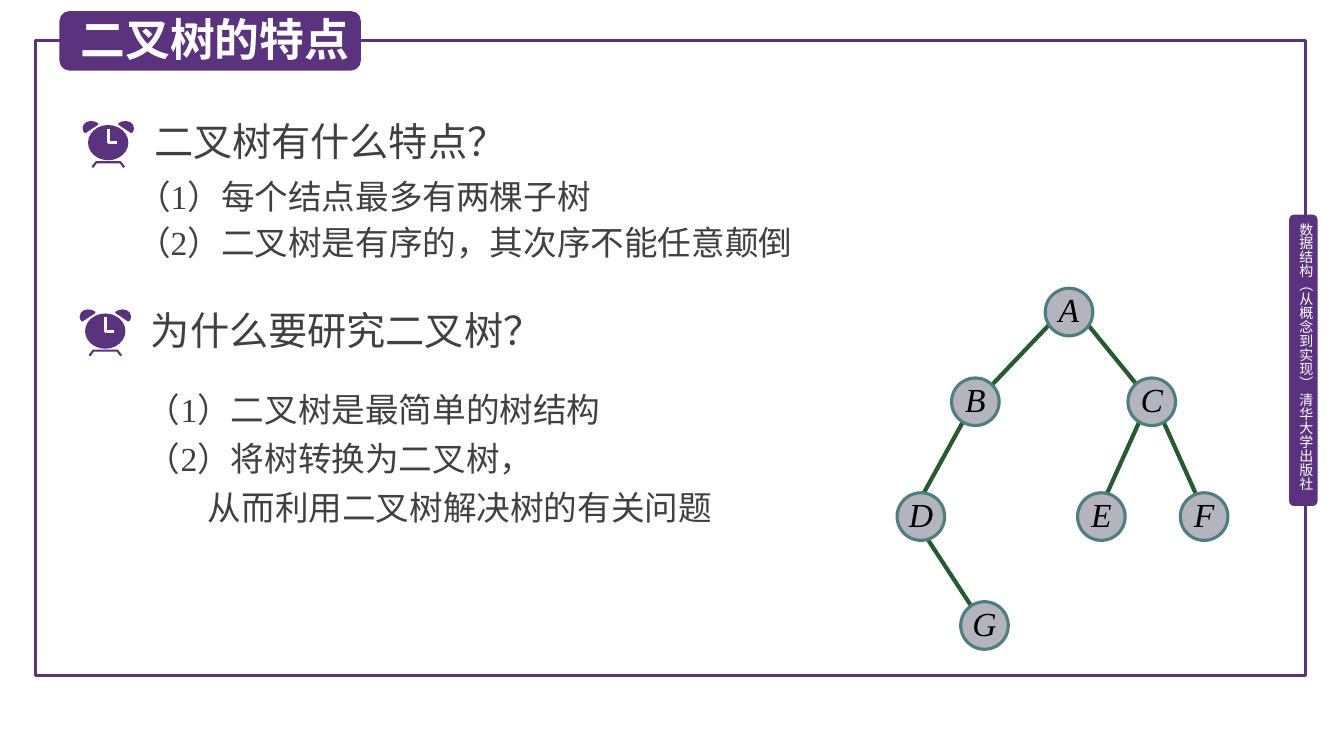
"""Build the slide on the traits of binary trees."""
from dataclasses import dataclass

from lxml.etree import SubElement
from pptx import Presentation
from pptx.dml.color import RGBColor as Rgb
from pptx.enum.shapes import MSO_CONNECTOR as Link, MSO_SHAPE as Kind
from pptx.enum.text import MSO_ANCHOR as Anchor, PP_ALIGN as Align
from pptx.oxml.ns import qn
from pptx.util import Pt

SANS, SERIF = "Noto Sans CJK SC", "Times New Roman"
PURPLE, GRAY, WHITE, BLACK = "5A327D", "404040", "FFFFFF", "000000"
NODE = 34
Point = tuple[float, float]


@dataclass(frozen=True)
class Run:
    text: str
    size: float = 24
    face: str = SANS
    color: str = GRAY
    bold: bool = False
    slant: bool = False


@dataclass(frozen=True)
class Para:
    runs: tuple[Run, ...]
    lead: float = 0
    before: float = 0
    left: float = 0
    align: Align = Align.LEFT


@dataclass(frozen=True)
class Box:
    x: float
    y: float
    w: float
    h: float
    paras: tuple[Para, ...]
    side: float = 7.2
    edge: float = 3.6
    mode: str = "horz"


@dataclass(frozen=True)
class Node:
    name: str
    x: float
    y: float


@dataclass(frozen=True)
class Edge:
    x1: float
    y1: float
    x2: float
    y2: float


def item(mark: str, text: str, lead: float = 0, before: float = 0) -> Para:
    return Para((Run(mark, face=SERIF), Run(text)), lead, before)


def head(x: float, y: float, text: str) -> Box:
    return Box(x, y, 377, 41, (Para((Run(text, 28),)),))


BOXES = (
    Box(926.6, 159.1, 12.3, 202.3,
        (Para((Run("数据结构（从概念到实现） 清华大学出版社", 10, color=WHITE),)),),
        0, 0, "eaVert"),
    Box(50.4, 5, 213.8, 46,
        (Para((Run("二叉树的特点", 32, color=WHITE, bold=True),)),)),
    head(103, 80.6, "二叉树有什么特点？"),
    Box(97.9, 122.4, 562, 77,
        (item("（1）", "每个结点最多有两棵子树"),
         item("（2）", "二叉树是有序的，其次序不能任意颠倒", before=4)), 0),
    head(100.8, 215.3, "为什么要研究二叉树？"),
    Box(97.9, 267.8, 471, 113,
        (item("（1）", "二叉树是最简单的树结构", 35),
         item("（2）", "将树转换为二叉树，", 35),
         Para((Run("从而利用二叉树解决树的有关问题"),), 35, left=43.5))),
)
NODES = (
    Node("A", 746.6, 205.9), Node("B", 679.7, 270), Node("C", 805.7, 270),
    Node("D", 640.8, 352), Node("E", 769.7, 352), Node("F", 843.1, 352),
    Node("G", 686.2, 429.8),
)
EDGES = (
    Edge(748.8, 232.6, 708.5, 275), Edge(777.6, 232.6, 812.2, 275),
    Edge(687.6, 301.7, 659.5, 352.8), Edge(663.1, 385.9, 694.1, 433.4),
    Edge(813.6, 301.7, 790.6, 352.8), Edge(831.6, 302.4, 853.9, 352.1),
)
CLOCKS = ((59, 86.4), (56.9, 221))
WIDE = 36.7
BELL = ((5.8, 0), (2.9, 0.7), (0.9, 2.4), (0, 5), (0.3, 7), (1.4, 8.6),
        (2.2, 8.6), (10.8, 2.9), (11.3, 2.2), (10.8, 1.4), (8.6, 0.4))
FEET = ((7, 33.1), (9.7, 29.5), (27, 29.5), (29.7, 33.1))
HANDS = ((18.4, 5.8), (18.4, 15.5), (24.5, 15.5))


def hue(code: str) -> Rgb:
    return Rgb.from_string(code)


def paint(shape, fill: str = "", line: str = "", width: float = 0) -> None:
    shape.shadow.inherit = False
    if fill:
        shape.fill.solid()
        shape.fill.fore_color.rgb = hue(fill)
    else:
        shape.fill.background()
    if line:
        shape.line.color.rgb = hue(line)
        shape.line.width = Pt(width)
    else:
        shape.line.fill.background()


def block(shapes, kind: Kind, x: float, y: float, w: float, h: float,
          fill: str = "", line: str = "", width: float = 0):
    shape = shapes.add_shape(kind, Pt(x), Pt(y), Pt(w), Pt(h))
    paint(shape, fill, line, width)
    return shape


def trace(shapes, points: list[Point], shut: bool):
    dots = [(Pt(x), Pt(y)) for x, y in points]
    pen = shapes.build_freeform(*dots[0], scale=1.0)
    pen.add_line_segments(dots[1:], close=shut)
    return pen.convert_to_shape()


def write(frame, paras: tuple[Para, ...], side: float, edge: float) -> None:
    frame.word_wrap = True
    frame.margin_left = frame.margin_right = Pt(side)
    frame.margin_top = frame.margin_bottom = Pt(edge)
    for i, para in enumerate(paras):
        line = frame.add_paragraph() if i else frame.paragraphs[0]
        line.alignment = para.align
        if para.lead:
            line.line_spacing = Pt(para.lead)
        if para.before:
            line.space_before = Pt(para.before)
        if para.left:
            line._p.get_or_add_pPr().set("marL", str(Pt(para.left)))
        for run in para.runs:
            part = line.add_run()
            part.text = run.text
            font = part.font
            font.size, font.name = Pt(run.size), run.face
            font.bold, font.italic = run.bold, run.slant
            font.color.rgb = hue(run.color)
            SubElement(part._r.rPr, qn("a:ea")).set("typeface", SANS)


def label(shapes, box: Box) -> None:
    shape = shapes.add_textbox(Pt(box.x), Pt(box.y), Pt(box.w), Pt(box.h))
    write(shape.text_frame, box.paras, box.side, box.edge)
    shape.text_frame._txBody.bodyPr.set("vert", box.mode)


def join(shapes, edge: Edge) -> None:
    line = shapes.add_connector(Link.STRAIGHT, Pt(edge.x1), Pt(edge.y1),
                                Pt(edge.x2), Pt(edge.y2))
    line.line.color.rgb = hue("285A32")
    line.line.width = Pt(3)
    SubElement(line._element.spPr, qn("a:effectLst"))


def plant(shapes, node: Node) -> None:
    disk = block(shapes, Kind.OVAL, node.x, node.y, NODE, NODE,
                 "B4B4BE", "507D7D", 2.25)
    run = Run(node.name, 24, SERIF, BLACK, slant=True)
    write(disk.text_frame, (Para((run,), 25, align=Align.CENTER),), 0, 0)
    disk.text_frame.vertical_anchor = Anchor.MIDDLE


def clock(shapes, x: float, y: float) -> None:
    twin = [(WIDE - a, b) for a, b in BELL]
    for bell in (BELL, twin):
        paint(trace(shapes, [(x + a, y + b) for a, b in bell], True), PURPLE)
    block(shapes, Kind.OVAL, x + 3.9, y + 2.9, 28.8, 25.2, PURPLE)
    for path, color, width in ((FEET, PURPLE, 1.5), (HANDS, WHITE, 2.2)):
        shape = trace(shapes, [(x + a, y + b) for a, b in path], False)
        paint(shape, line=color, width=width)


def main() -> None:
    deck = Presentation()
    deck.slide_width, deck.slide_height = Pt(960), Pt(540)
    shapes = deck.slides.add_slide(deck.slide_layouts[6]).shapes
    block(shapes, Kind.RECTANGLE, 25.2, 28.8, 907.2, 453.6, "", PURPLE, 2.25)
    block(shapes, Kind.ROUNDED_RECTANGLE, 920.9, 153.4, 20.2, 208, PURPLE)
    block(shapes, Kind.ROUNDED_RECTANGLE, 42.5, 7.9, 215.3, 42.5, PURPLE)
    for edge in EDGES:
        join(shapes, edge)
    for node in NODES:
        plant(shapes, node)
    for x, y in CLOCKS:
        clock(shapes, x, y)
    for box in BOXES:
        label(shapes, box)
    deck.save("out.pptx")


if __name__ == "__main__":
    main()
